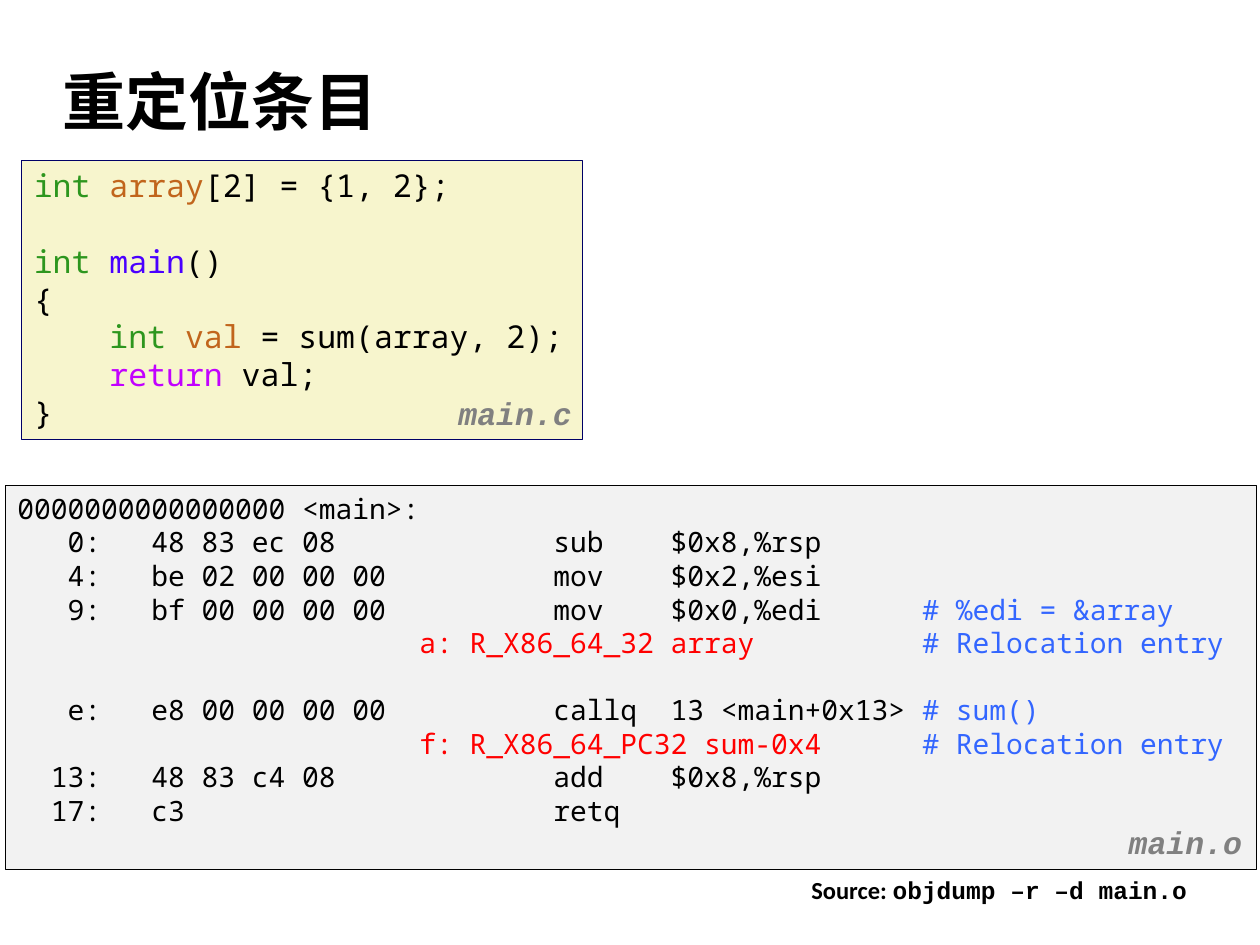
from dataclasses import dataclass
from typing import NamedTuple

from lxml import etree
from pptx import Presentation
from pptx.dml.color import RGBColor
from pptx.enum.shapes import MSO_SHAPE
from pptx.enum.text import MSO_ANCHOR, MSO_AUTO_SIZE, PP_ALIGN
from pptx.oxml.ns import qn
from pptx.util import Pt

RECTANGLE = MSO_SHAPE.RECTANGLE
TOP, MIDDLE = MSO_ANCHOR.TOP, MSO_ANCHOR.MIDDLE
FIT_SHAPE = MSO_AUTO_SIZE.SHAPE_TO_FIT_TEXT
LEFT = PP_ALIGN.LEFT


class Box(NamedTuple):
    left: float
    top: float
    width: float
    height: float

    def lengths(self):
        return [Pt(value) for value in self]


@dataclass(frozen=True)
class Theme:
    body_font: str = "Calibri"
    code_font: str = "Noto Sans Mono"
    file_font: str = "Courier New"
    title_size: int = 36
    source_code_size: int = 18
    listing_size: int = 16
    file_size: int = 18
    credit_size: int = 14
    text: str = "000000"
    file_name: str = "808080"
    type_word: str = "2D961E"
    variable: str = "C1651C"
    function: str = "4A00FF"
    keyword: str = "C200FF"
    relocation: str = "FF0000"
    remark: str = "3366FF"
    source_fill: str = "F7F5CD"
    source_line: str = "000066"
    listing_fill: str = "F2F2F2"
    listing_line: str = "000000"


THEME = Theme()
INDENT = " " * 4
RELOCATION_INDENT = " " * 24

SOURCE_CODE = [
    [("int ", THEME.type_word), ("array", THEME.variable), ("[2] = {1, 2};", THEME.text)],
    [],
    [("int ", THEME.type_word), ("main", THEME.function), ("()", THEME.text)],
    [("{", THEME.text)],
    [(INDENT + "int ", THEME.type_word), ("val", THEME.variable),
     (" = sum(array, 2);", THEME.text)],
    [(INDENT + "return", THEME.keyword), (" val;", THEME.text)],
    [("}", THEME.text)],
]

LISTING = [
    [("0000000000000000 <main>:", THEME.text)],
    [("   0:   48 83 ec 08             sub    $0x8,%rsp", THEME.text)],
    [("   4:   be 02 00 00 00          mov    $0x2,%esi", THEME.text)],
    [("   9:   bf 00 00 00 00          mov    $0x0,%edi      ", THEME.text),
     ("# %edi = &array", THEME.remark)],
    [(RELOCATION_INDENT + "a: R_X86_64_32 array          ", THEME.relocation),
     ("# Relocation entry", THEME.remark)],
    [],
    [("   e:   e8 00 00 00 00          callq  13 <main+0x13> ", THEME.text),
     ("# sum()", THEME.remark)],
    [(RELOCATION_INDENT + "f: R_X86_64_PC32 sum-0x4      ", THEME.relocation),
     ("# Relocation entry", THEME.remark)],
    [("  13:   48 83 c4 08             add    $0x8,%rsp", THEME.text)],
    [("  17:   c3                      retq", THEME.text)],
]


def rgb(color):
    return RGBColor.from_string(color)


def add_run(paragraph, words, font, size, color, bold=False, italic=False):
    run = paragraph.add_run()
    run.text = words
    run.font.name = font
    run.font.size = Pt(size)
    run.font.bold = bold
    run.font.italic = italic
    run.font.color.rgb = rgb(color)


def add_label(slide, box, line_spacing):
    frame = slide.shapes.add_textbox(*box.lengths()).text_frame
    frame.word_wrap = False
    frame.auto_size = FIT_SHAPE
    paragraph = frame.paragraphs[0]
    paragraph.line_spacing = line_spacing
    return paragraph


def add_title(slide, box):
    frame = slide.shapes.add_textbox(*box.lengths()).text_frame
    frame.word_wrap = True
    frame.vertical_anchor = MIDDLE
    title = frame.paragraphs[0]
    title.line_spacing = 0.82
    add_run(title, "重定位条目", THEME.body_font, THEME.title_size, THEME.text, bold=True)


def add_code_lines(frame, lines, size):
    for number, pieces in enumerate(lines):
        paragraph = frame.add_paragraph() if number else frame.paragraphs[0]
        paragraph.alignment = LEFT
        for words, color in pieces:
            add_run(paragraph, words, THEME.code_font, size, color)
        if not pieces:
            empty_line = etree.SubElement(paragraph._p, qn("a:endParaRPr"), sz=str(size * 100))
            etree.SubElement(empty_line, qn("a:latin"), typeface=THEME.code_font)


def add_code_panel(slide, box, lines, size, fill, line, file_name, overhang):
    panel = slide.shapes.add_shape(RECTANGLE, *box.lengths())
    panel.shadow.inherit = False
    panel.fill.solid()
    panel.fill.fore_color.rgb = rgb(fill)
    panel.line.color.rgb = rgb(line)
    panel.line.width = Pt(0.25)
    frame = panel.text_frame
    frame.word_wrap = False
    frame.auto_size = FIT_SHAPE
    frame.vertical_anchor = TOP
    add_code_lines(frame, lines, size)

    width, height = 84.24, 28.08
    corner = Box(box.left + box.width + overhang - width,
                 box.top + box.height - height, width, height)
    add_run(add_label(slide, corner, 0.94), file_name, THEME.file_font,
            THEME.file_size, THEME.file_name, bold=True, italic=True)


def add_credit(slide, box):
    credit = add_label(slide, box, 0.98)
    for words, font in (("Source: ", THEME.body_font),
                        ("objdump –r –d main.o", THEME.file_font)):
        add_run(credit, words, font, THEME.credit_size, THEME.text, bold=True)


def main():
    deck = Presentation()
    deck.slide_width, deck.slide_height = Pt(720), Pt(540)
    slide = deck.slides.add_slide(deck.slide_layouts[6])
    add_title(slide, Box(28.8, 30.24, 686.16, 61.92))
    add_code_panel(slide, Box(2.88, 277.2, 714.96, 219.6), LISTING, THEME.listing_size,
                   THEME.listing_fill, THEME.listing_line, "main.o", 4.32)
    add_code_panel(slide, Box(12.24, 91.44, 320.4, 159.84), SOURCE_CODE,
                   THEME.source_code_size, THEME.source_fill, THEME.source_line,
                   "main.c", 6.48)
    add_credit(slide, Box(456.48, 497.52, 231.12, 24.48))
    deck.save("out.pptx")


if __name__ == "__main__":
    main()
